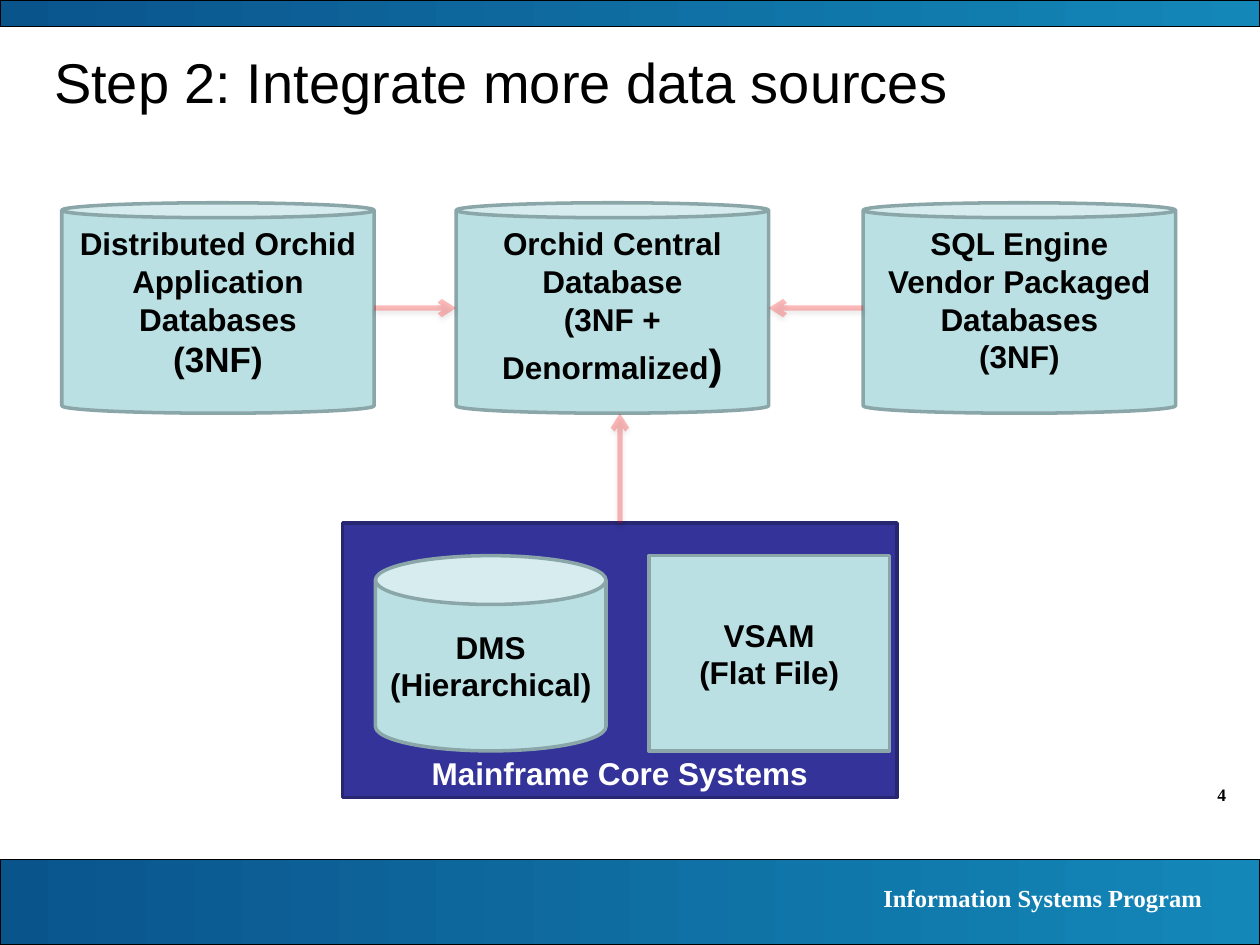
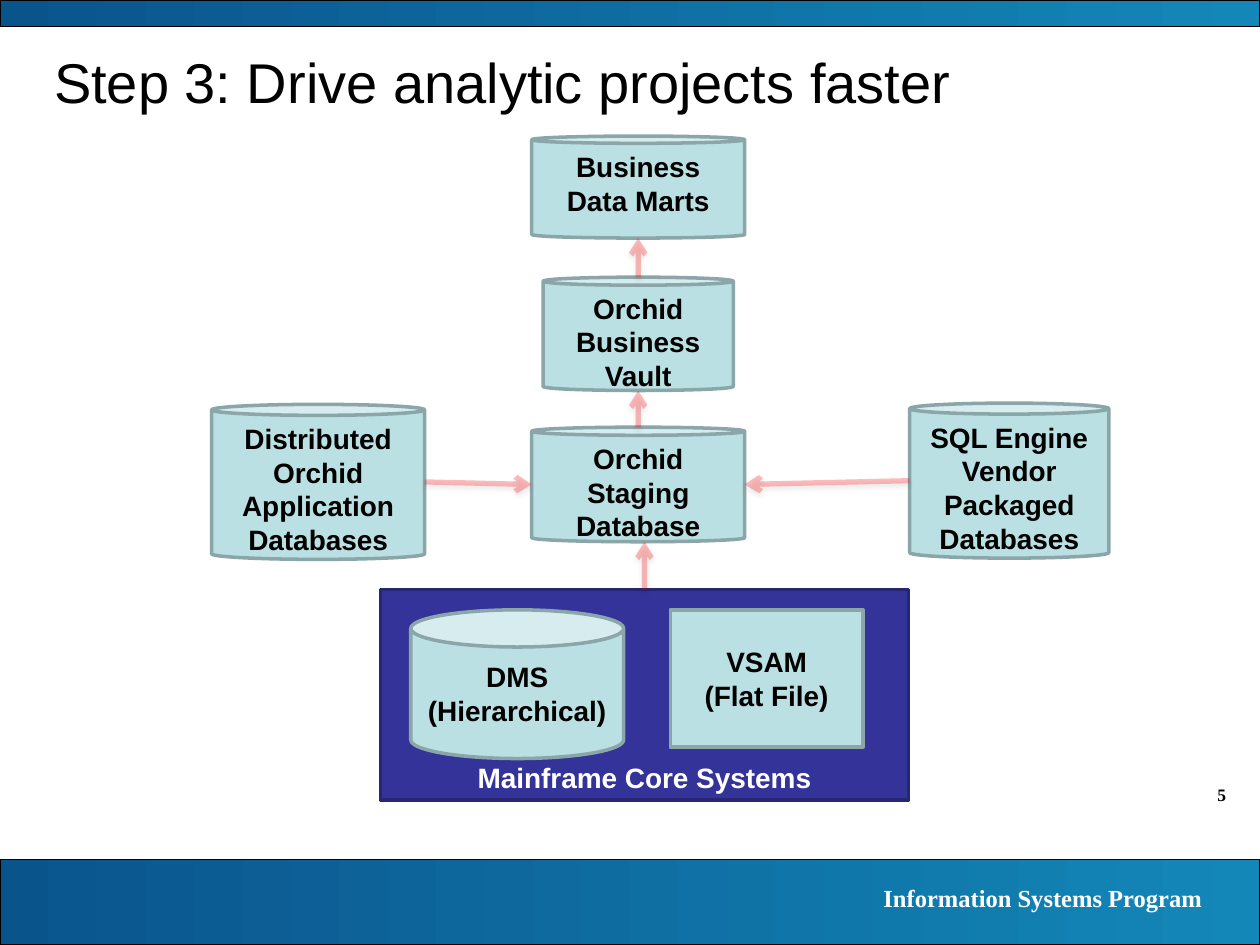
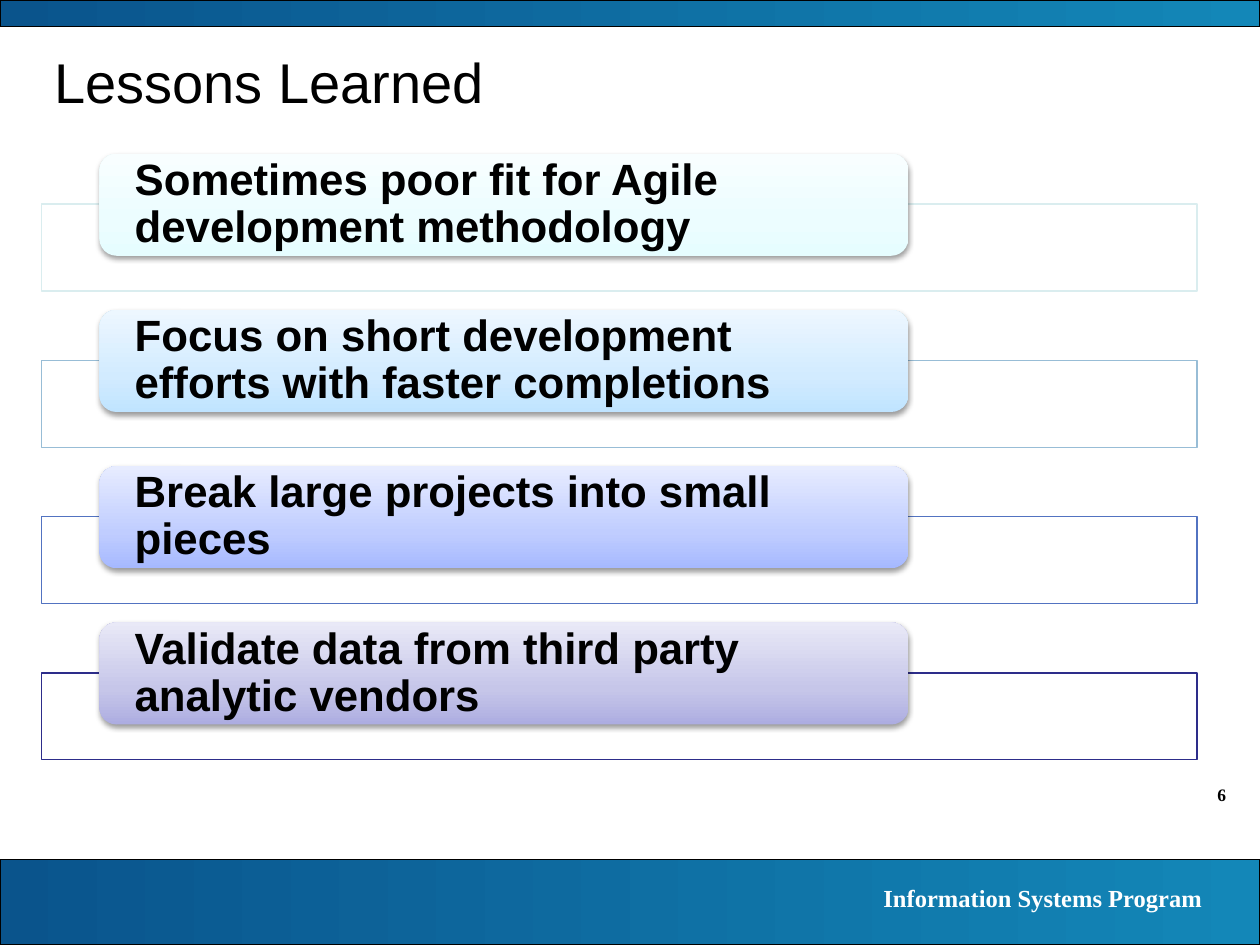
from lxml.etree import SubElement
from pptx import Presentation
from pptx.dml.color import RGBColor
from pptx.enum.shapes import MSO_CONNECTOR as CONN, MSO_SHAPE as SHAPE
from pptx.enum.text import MSO_ANCHOR as ANCHOR, PP_ALIGN as ALIGN
from pptx.oxml.ns import qn
from pptx.util import Inches, Pt

BLACK, WHITE = "000000", "FFFFFF"
NAVY, NAVY_EDGE = "333399", "262671"
AQUA, AQUA_EDGE = "BBE0E3", "8AA6A8"
BAND = [(0, "0A548C"), (100, "1387B8")]
SERIF = "Times New Roman"
FLAT_TOP = 0.071


def rgb(color):
    return RGBColor.from_string(color)


def write(sp, paras, size=18, font="Arial", color=BLACK, bold=True,
          align=ALIGN.CENTER, anchor=ANCHOR.TOP, spacing=None, side=0.1, edge=0.05):
    tf = sp.text_frame
    tf.word_wrap = True
    tf.vertical_anchor = anchor
    tf.margin_left = tf.margin_right = Inches(side)
    tf.margin_top = tf.margin_bottom = Inches(edge)
    for i, para in enumerate(paras):
        p = tf.add_paragraph() if i else tf.paragraphs[0]
        p.alignment = align
        p.line_spacing = spacing
        runs = [(para, size)] if isinstance(para, str) else para
        for text, run_size in runs:
            r = p.add_run()
            r.text = text
            r.font.name, r.font.size, r.font.bold = font, Pt(run_size), bold
            r.font.color.rgb = rgb(color)


def add_alpha(parent, percent):
    SubElement(parent, qn("a:alpha"), val=str(percent * 1000))


def add_shadow(effects, alpha, blur, dist):
    shadow = SubElement(effects, qn("a:outerShdw"), blurRad=str(Pt(blur)),
                        dist=str(Pt(dist)), dir="5400000", rotWithShape="0")
    add_alpha(SubElement(shadow, qn("a:srgbClr"), val=BLACK), alpha)


def add_box(s, kind, box, fill, line=None, width=0.75, angle=0):
    sp = s.shapes.add_shape(kind, *map(Inches, box))
    sp.shadow.inherit = False
    if isinstance(fill, str):
        sp.fill.solid()
        sp.fill.fore_color.rgb = rgb(fill)
    else:
        sp.fill.gradient()
        sp.fill.gradient_angle = angle
        stops = next(sp.element.iter(qn("a:gsLst")))
        for stop in list(stops):
            stops.remove(stop)
        for pos, color in fill:
            stop = SubElement(stops, qn("a:gs"), pos=str(pos * 1000))
            SubElement(stop, qn("a:srgbClr"), val=color)
    if line:
        sp.line.color.rgb = rgb(line)
        sp.line.width = Pt(width)
    else:
        sp.line.fill.background()
    return sp


def add_label(s, box, text, **fmt):
    write(s.shapes.add_textbox(*map(Inches, box)), [text],
          font=SERIF, align=ALIGN.RIGHT, **fmt)


def add_store(s, box, paras, size, kind=SHAPE.CAN, top=None, anchor=ANCHOR.TOP):
    sp = add_box(s, kind, box, AQUA, AQUA_EDGE, 2)
    if top:
        sp.adjustments[0] = top
    write(sp, paras, size, anchor=anchor)
    return sp


def add_database(s, box, paras, size):
    return add_store(s, box, paras, size, top=FLAT_TOP)


def add_mainframe(s, box, size, hierarchy, flat_file):
    x, y = box[:2]
    frame = add_box(s, SHAPE.RECTANGLE, box, NAVY, NAVY_EDGE, 2)
    write(frame, ["Mainframe Core Systems"], size, color=WHITE, anchor=ANCHOR.BOTTOM)
    parts = [(flat_file, ["VSAM", "(Flat File)"], SHAPE.RECTANGLE),
             (hierarchy, ["DMS", "(Hierarchical)"], SHAPE.CAN)]
    for (dx, dy, w, h), paras, kind in parts:
        add_store(s, (x + dx, y + dy, w, h), paras, size, kind, anchor=ANCHOR.MIDDLE)
    return frame


def add_arrow(s, source, target):
    mid_x = source.left + source.width // 2
    if source.left >= target.left + target.width:
        start = source.left, source.top + source.height // 2
        end = target.left + target.width, target.top + target.height // 2
    elif source.left + source.width <= target.left:
        start = source.left + source.width, source.top + source.height // 2
        end = target.left, target.top + target.height // 2
    else:
        start = mid_x, source.top
        end = mid_x, target.top + target.height
    line = s.shapes.add_connector(CONN.STRAIGHT, *start, *end)
    line.line.color.rgb = rgb("FF0000")
    line.line.width = Pt(3)
    ln = line.element.spPr.find(qn("a:ln"))
    add_alpha(next(ln.iter(qn("a:srgbClr"))), 25)
    SubElement(ln, qn("a:tailEnd"), type="arrow")
    add_shadow(SubElement(line.element.spPr, qn("a:effectLst")), 35, 3.1, 1.8)


def add_slide(prs, title, number):
    s = prs.slides.add_slide(prs.slide_layouts[5])
    add_label(s, (9, 6.17, 0.83, 0.27), str(number), size=10)
    for top, height in ((6.82, 0.68), (0, 0.21)):
        add_box(s, SHAPE.RECTANGLE, (0, top, 10, height), BAND, BLACK)
    add_label(s, (5.55, 6.96, 4.09, 0.34), "Information Systems Program",
              size=14, color=WHITE)
    sp = s.shapes.title
    sp.left, sp.top, sp.width, sp.height = map(Inches, (0.33, 0.33, 9.17, 0.75))
    write(sp, [title], 32, bold=False, align=ALIGN.LEFT)
    return s


def build_integration(s):
    frame = add_mainframe(s, (2.72, 4.15, 4.4, 2.18), 18,
                          hierarchy=(0.26, 0.26, 1.83, 1.55),
                          flat_file=(2.43, 0.26, 1.91, 1.55))
    columns = [
        (0.49, ["Distributed Orchid Application Databases", [("(3NF)", 20)]]),
        (3.62, ["Orchid Central Database", [("(3NF + Denormalized", 18), (")", 24)]]),
        (6.85, ["SQL Engine", "Vendor Packaged", "Databases", "(3NF)"]),
    ]
    apps, central, vendor = [add_database(s, (x, 1.61, 2.48, 1.67), paras, 18)
                             for x, paras in columns]
    for source in (apps, vendor, frame):
        add_arrow(s, source, central)


def build_analytics(s):
    stores = [
        ((4.22, 3.39, 1.69, 0.91), ["Orchid", "Staging Database"]),
        ((7.22, 3.2, 1.58, 1.23), ["SQL Engine", "Vendor Packaged", "Databases"]),
        ((1.68, 3.21, 1.69, 1.23), ["Distributed Orchid Application Databases"]),
        ((4.31, 2.2, 1.51, 0.9), ["Orchid Business Vault"]),
        ((4.22, 1.08, 1.69, 0.81), ["Business Data Marts"]),
    ]
    staging, vendor, apps, vault, marts = [add_database(s, box, paras, 16)
                                           for box, paras in stores]
    frame = add_mainframe(s, (3.02, 4.68, 4.19, 1.67), 16,
                          hierarchy=(0.24, 0.16, 1.69, 1.18),
                          flat_file=(2.3, 0.16, 1.53, 1.09))
    for source, target in ((frame, staging), (apps, staging), (vendor, staging),
                           (staging, vault), (vault, marts)):
        add_arrow(s, source, target)


def add_lesson(s, box, text, edge, colors):
    x, y, w, h = box
    panel = add_box(s, SHAPE.RECTANGLE, (x, y + 0.4, w, h - 0.4), WHITE, edge)
    add_alpha(next(panel.element.spPr.iter(qn("a:srgbClr"))), 90)
    card = add_box(s, SHAPE.ROUNDED_RECTANGLE, (x + 0.46, y, 0.7 * w, 0.81),
                   list(zip((0, 35, 100), colors)), angle=90)
    add_shadow(card.element.spPr.find(qn("a:effectLst")), 38, 3.1, 1.6)
    write(card, [text], 25, align=ALIGN.LEFT, anchor=ANCHOR.MIDDLE,
          spacing=0.9, side=0.24, edge=0.04)


def build_lessons(s):
    lessons = [
        ("Sometimes poor fit for Agile development methodology",
         "DAEDEF", ("E6FDFF", "ECFDFF", "F8FEFF")),
        ("Focus on short development efforts with faster completions",
         "98BDD6", ("C0E4FF", "D2EBFF", "EDF7FF")),
        ("Break large projects into small pieces",
         "5273C1", ("A6B9FF", "C0CDFF", "E7ECFF")),
        ("Validate data from third party analytic vendors",
         "2D2D8A", ("ADADE1", "C6C6E9", "E9E9F7")),
    ]
    for i, lesson in enumerate(lessons):
        add_lesson(s, (0.33, 1.22 + 1.24 * i, 9.17, 1.09), *lesson)


def main():
    prs = Presentation()
    prs.slide_width, prs.slide_height = Inches(10), Inches(7.5)
    slides = [
        ("Step 2: Integrate more data sources", build_integration),
        ("Step 3: Drive analytic projects faster", build_analytics),
        ("Lessons Learned", build_lessons),
    ]
    for number, (title, build) in enumerate(slides, 4):
        build(add_slide(prs, title, number))
    prs.save("out.pptx")


if __name__ == "__main__":
    main()
